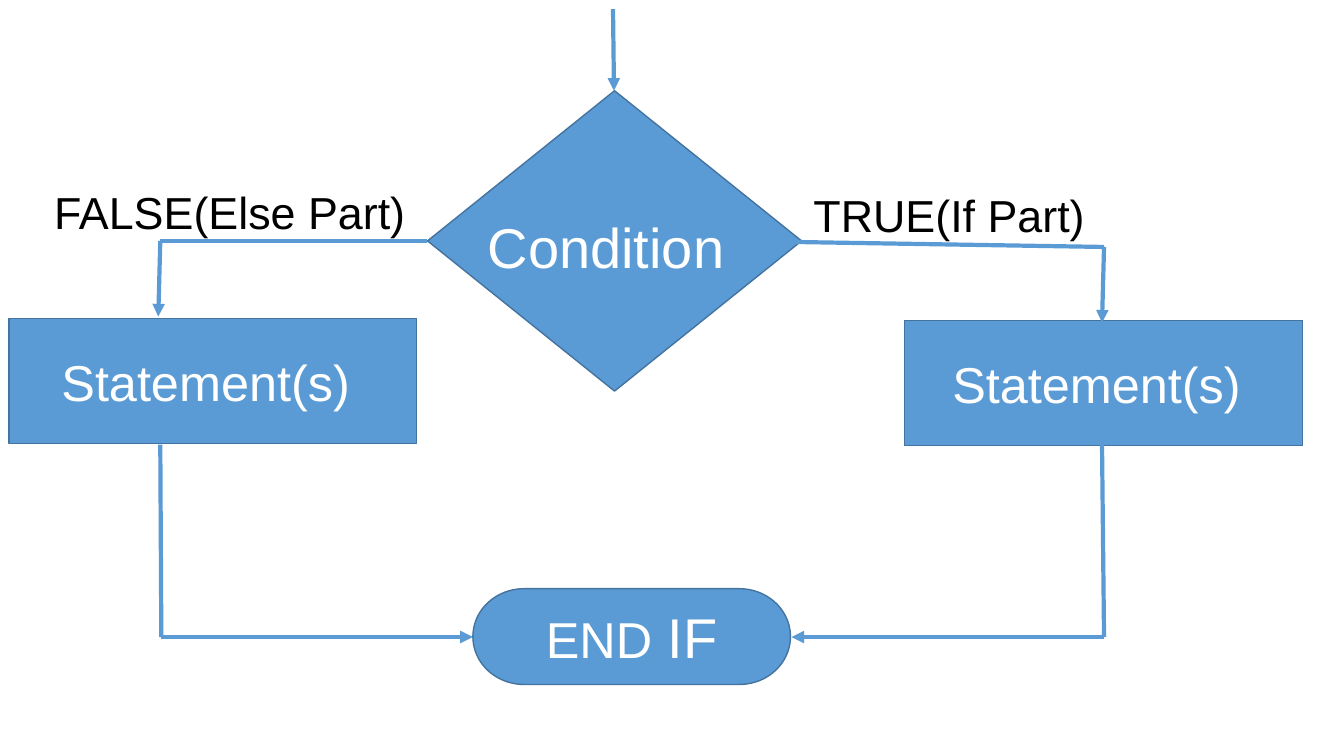
from lxml.etree import SubElement
from pptx import Presentation
from pptx.dml.color import RGBColor
from pptx.enum.shapes import MSO_CONNECTOR, MSO_SHAPE
from pptx.enum.text import MSO_ANCHOR, PP_ALIGN
from pptx.oxml.ns import qn
from pptx.util import Inches, Pt

COLOURS = {"blue": "5B9BD5", "outline": "43739E", "white": "FFFFFF", "black": "000000"}
FONT = "Arial"

NODES = [
    (MSO_SHAPE.FLOWCHART_DECISION, (4.24, 0.9, 3.71, 2.98), []),
    (MSO_SHAPE.FLOWCHART_PROCESS, (8.97, 3.18, 3.95, 1.24), [("Statement(s) ", 36)]),
    (MSO_SHAPE.FLOWCHART_PROCESS, (0.09, 3.16, 4.04, 1.24), [("Statement(s) ", 36)]),
    (MSO_SHAPE.FLOWCHART_TERMINATOR, (4.69, 5.84, 3.15, 0.95), [("END", 36), (" IF", 40)]),
]

LABELS = [
    ("TRUE(If Part)", (7.59, 1.81, 3.65, 0.64), 32, "black"),
    ("FALSE(Else Part)", (0, 1.78, 4.56, 0.64), 32, "black"),
    ("Condition", (4.36, 2.06, 3.3, 0.74), 40, "white"),
]

ROUTES = [
    [(6.08, 0.09), (6.09, 0.9)],
    [(7.21, 2.39), (10.95, 2.45), (10.93, 3.2)],
    [(10.93, 4.41), (10.95, 6.32), (7.85, 6.32)],
    [(4.24, 2.39), (1.59, 2.39), (1.57, 3.14)],
    [(1.59, 4.41), (1.6, 6.32), (4.69, 6.32)],
]


def colour(name):
    return RGBColor.from_string(COLOURS[name])


def write_runs(text_frame, runs, colour_name):
    text_frame.word_wrap = True
    paragraph = text_frame.paragraphs[0]
    paragraph.alignment = PP_ALIGN.CENTER
    for text, size in runs:
        run = paragraph.add_run()
        run.text = text
        run.font.name = FONT
        run.font.size = Pt(size)
        run.font.color.rgb = colour(colour_name)


def add_node(slide, kind, box, runs):
    shape = slide.shapes.add_shape(kind, *map(Inches, box))
    shape.shadow.inherit = False
    shape.fill.solid()
    shape.fill.fore_color.rgb = colour("blue")
    shape.line.color.rgb = colour("outline")
    shape.line.width = Pt(1)
    shape.text_frame.vertical_anchor = MSO_ANCHOR.MIDDLE
    write_runs(shape.text_frame, runs, "white")


def add_segment(slide, start, end, arrow):
    connector = slide.shapes.add_connector(
        MSO_CONNECTOR.STRAIGHT, *map(Inches, start + end))
    connector.line.color.rgb = colour("blue")
    connector.line.width = Pt(3)
    if arrow:
        line = connector.line._get_or_add_ln()
        SubElement(line, qn("a:tailEnd"), type="triangle")
    SubElement(connector._element.spPr, qn("a:effectLst"))


def main():
    """Build the if/else flowchart slide."""
    presentation = Presentation()
    presentation.slide_width = Inches(13.33)
    presentation.slide_height = Inches(7.5)
    slide = presentation.slides.add_slide(presentation.slide_layouts[6])
    for kind, box, runs in NODES:
        add_node(slide, kind, box, runs)
    for route in ROUTES:
        for start, end in zip(route, route[1:]):
            add_segment(slide, start, end, end == route[-1])
    for text, box, size, colour_name in LABELS:
        label = slide.shapes.add_textbox(*map(Inches, box))
        write_runs(label.text_frame, [(text, size)], colour_name)
    presentation.save("out.pptx")


if __name__ == "__main__":
    main()
